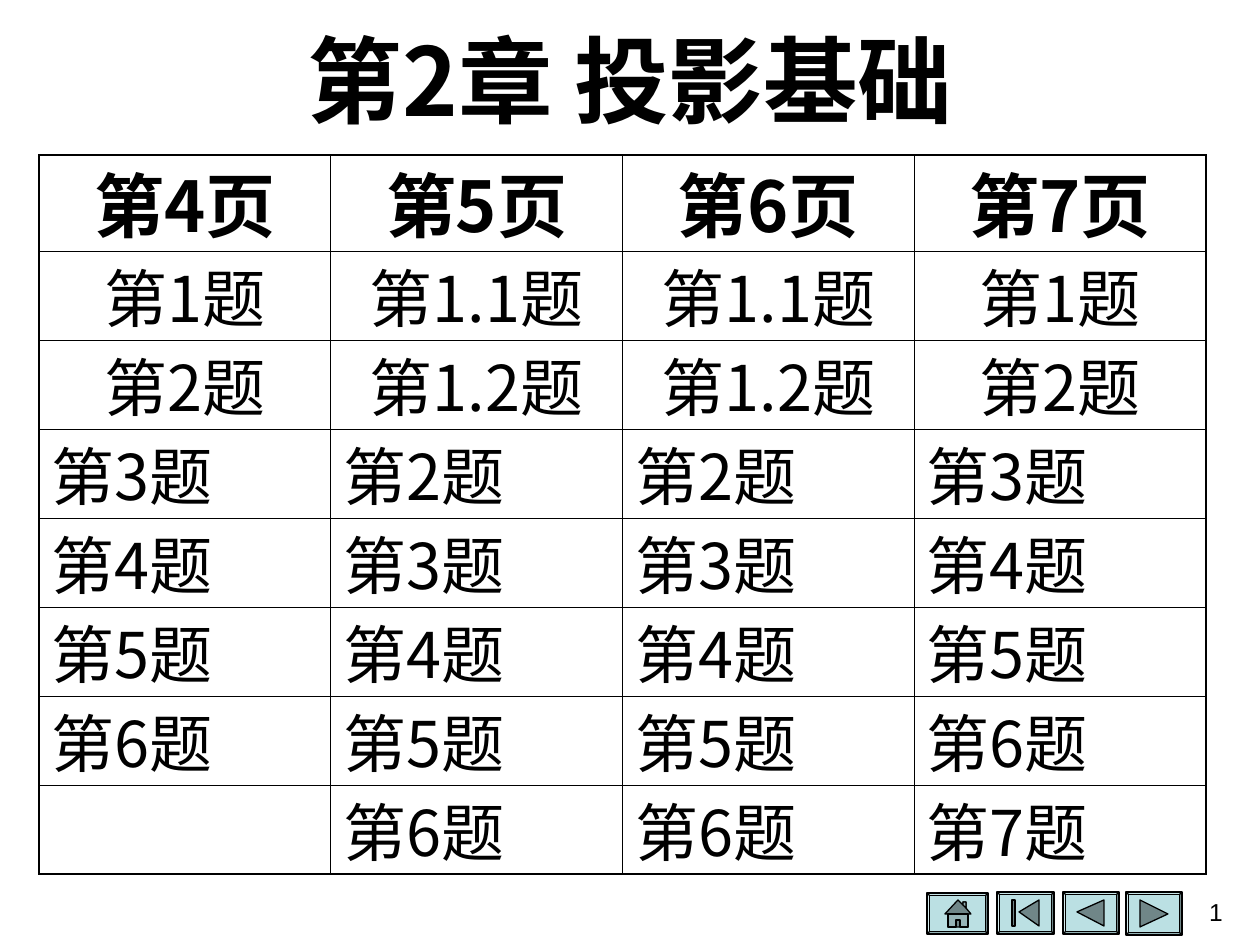
from lxml import etree
from pptx import Presentation
from pptx.dml.color import RGBColor
from pptx.enum.shapes import MSO_SHAPE
from pptx.enum.text import MSO_ANCHOR, PP_ALIGN
from pptx.oxml.ns import qn
from pptx.util import Emu, Pt

BEVEL = MSO_SHAPE.BEVEL
MIDDLE = MSO_ANCHOR.MIDDLE
LEFT, CENTER, RIGHT = PP_ALIGN.LEFT, PP_ALIGN.CENTER, PP_ALIGN.RIGHT
SCALE = 914400 / 126
CJK = "Noto Sans CJK SC"
BLACK, BUTTON, ICON, WALL = "000000", "BBE0E3", "708688", "96B3B6"
THIN, THICK = 0.45, 1.08

QUESTIONS = [
    ["第4页", "第5页", "第6页", "第7页"],
    ["第1题", "第1.1题", "第1.1题", "第1题"],
    ["第2题", "第1.2题", "第1.2题", "第2题"],
    ["第3题", "第2题", "第2题", "第3题"],
    ["第4题", "第3题", "第3题", "第4题"],
    ["第5题", "第4题", "第4题", "第5题"],
    ["第6题", "第5题", "第5题", "第6题"],
    ["", "第6题", "第6题", "第7题"],
]

BUTTONS = [
    (1126, 892, 56, 43, [([(1140, 900), (1168, 914), (1140, 927)], ICON)]),
    (1063, 892, 56, 42, [([(1077, 912), (1104, 900), (1104, 926)], ICON)]),
    (997, 892, 57, 42, [
        ([(1019, 912), (1039, 900), (1039, 926)], ICON),
        ([(1012, 900), (1015, 900), (1015, 926), (1012, 926)], ICON),
    ]),
    (927, 893, 61, 41, [
        ([(958, 900), (963, 905), (963, 902), (966, 902), (966, 908), (971, 914),
          (968, 914), (968, 927), (948, 927), (948, 914), (945, 914)], ICON),
        ([(963, 905), (963, 902), (966, 902), (966, 908)], WALL),
        ([(956, 920), (960, 920), (960, 927), (968, 927), (968, 914),
          (948, 914), (948, 927), (956, 927)], WALL),
    ]),
]


def px(length):
    return Emu(round(length * SCALE))


def color(value):
    return RGBColor.from_string(value)


def style_text(para, font, size, align, bold=False):
    para.alignment = align
    for span in para.runs:
        span.font.name = font
        span.font.size = Pt(size)
        span.font.bold = bold
        span.font.color.rgb = color(BLACK)
        east = etree.SubElement(span.font._element, qn("a:ea"))
        east.set("typeface", font)


def add_label(page, text, left, top, width, height, font, size, align, bold=False):
    box = page.shapes.add_textbox(px(left), px(top), px(width), px(height))
    frame = box.text_frame
    frame.word_wrap = True
    frame.vertical_anchor = MIDDLE
    frame.text = text
    style_text(frame.paragraphs[0], font, size, align, bold)


def set_borders(cell, widths):
    props = cell._tc.get_or_add_tcPr()
    for index, (side, width) in enumerate(widths.items()):
        line = etree.Element(qn("a:ln" + side), w=str(Pt(width)))
        fill = etree.SubElement(line, qn("a:solidFill"))
        etree.SubElement(fill, qn("a:srgbClr"), val=BLACK)
        props.insert(index, line)


def format_cell(cell, text, row, column, last_row, last_column):
    header = row == 0
    cell.fill.background()
    cell.vertical_anchor = MIDDLE
    cell.margin_top = 0
    cell.margin_bottom = px(-22 if header else -18)
    cell.text_frame.text = text
    para = cell.text_frame.paragraphs[0]
    style_text(para, CJK, 40 if header else 36, CENTER if row < 3 else LEFT, header)
    para.space_before = Pt(10 if header else 9)
    para.line_spacing = Pt(44 if header else 41)
    set_borders(cell, {
        "L": THICK if column == 0 else THIN,
        "R": THICK if column == last_column else THIN,
        "T": THICK if header else THIN,
        "B": THICK if row == last_row else THIN,
    })


def add_question_table(page, rows):
    row_count, column_count = len(rows), len(rows[0])
    holder = page.shapes.add_table(row_count, column_count, px(39), px(155), px(1167), px(719))
    table = holder.table
    table.first_row = False
    table.horz_banding = False
    for column in table.columns:
        column.width = px(1167 / column_count)
    for row, texts in enumerate(rows):
        table.rows[row].height = px(89 if row else 96)
        for column, text in enumerate(texts):
            format_cell(table.cell(row, column), text, row, column,
                        row_count - 1, column_count - 1)


def paint(shape, fill):
    shape.shadow.inherit = False
    shape.fill.solid()
    shape.fill.fore_color.rgb = color(fill)
    shape.line.color.rgb = color(BLACK)
    shape.line.width = Pt(0.75)


def add_button(page, left, top, width, height, icons):
    frame = page.shapes.add_shape(BEVEL, px(left), px(top), px(width), px(height))
    frame.adjustments[0] = 0.06
    paint(frame, BUTTON)
    for points, fill in icons:
        builder = page.shapes.build_freeform(*points[0], scale=SCALE)
        builder.add_line_segments(points[1:], close=True)
        paint(builder.convert_to_shape(), fill)


def main():
    deck = Presentation()
    deck.slide_width, deck.slide_height = px(1260), px(945)
    page = deck.slides.add_slide(deck.slide_layouts[6])
    for button in BUTTONS:
        add_button(page, *button)
    add_label(page, "第2章 投影基础", 63, 16, 1134, 126, CJK, 54, CENTER, True)
    add_question_table(page, QUESTIONS)
    add_label(page, "1", 941, 879, 294, 66, "Arial", 14, RIGHT)
    deck.save("out.pptx")


if __name__ == "__main__":
    main()
